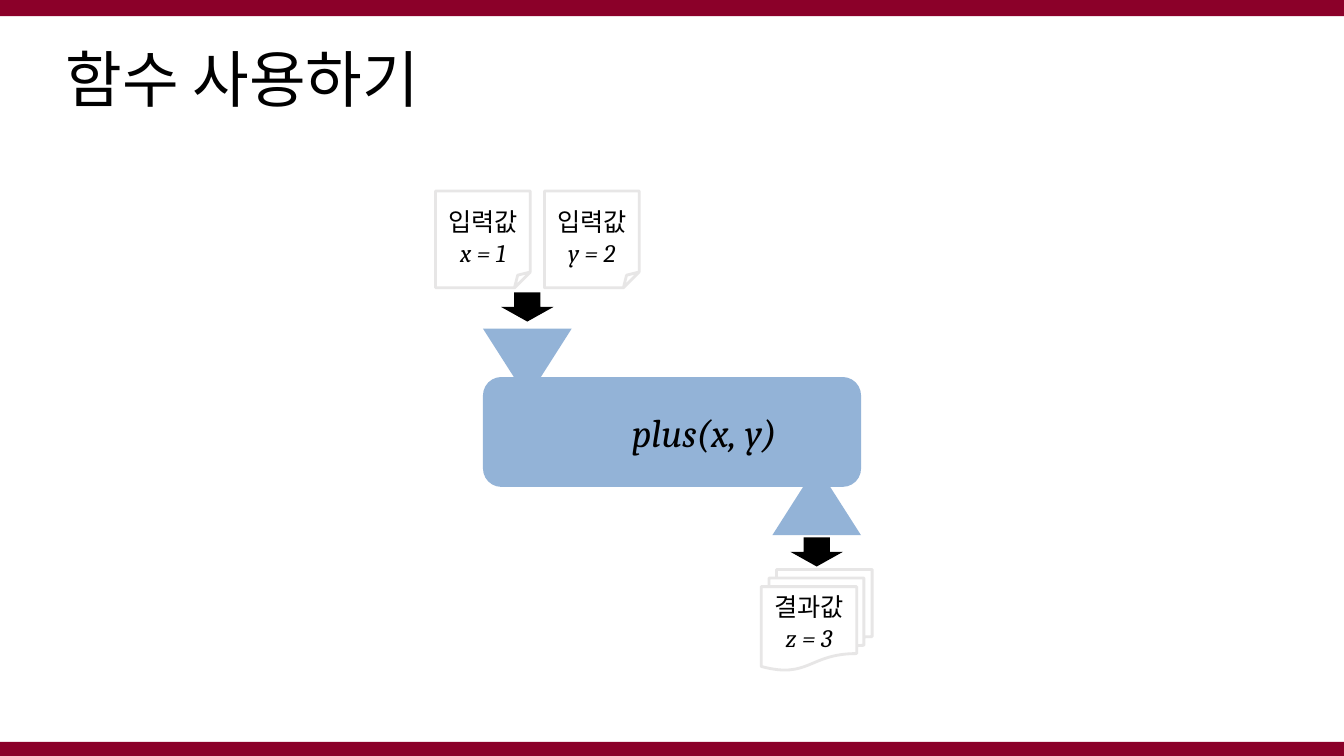
import dataclasses

import pptx
import pptx.dml.color
import pptx.enum.shapes
import pptx.enum.text
import pptx.util

SHAPE = pptx.enum.shapes.MSO_SHAPE
ALIGN = pptx.enum.text.PP_ALIGN
ANCHOR = pptx.enum.text.MSO_ANCHOR


@dataclasses.dataclass(frozen=True)
class Theme:
    """Colours, type formats and the grid of the slide."""
    band: str = "8B0029"
    machine: str = "93B3D7"
    outline: str = "E7E6E6"
    ink: str = "000000"
    line: float = 2
    cell: float = 0.04
    cols: float = 333.25
    rows: float = 187.5
    title: tuple = (("name", "Lato"), ("size", 44))
    label: tuple = (("name", "Arial"), ("size", 18))
    value: tuple = (("name", "Cambria"), ("size", 18), ("italic", True))
    formula: tuple = (("name", "Cambria"), ("size", 28), ("italic", True))


T = Theme()


def grid(*cells):
    """Turn grid cells into lengths."""
    return [pptx.util.Inches(c * T.cell) for c in cells]


def rgb(code):
    """Turn a hex code into a colour."""
    return pptx.dml.color.RGBColor.from_string(code)


def write(sp, lines, inset=0.05, anchor=ANCHOR.TOP, align=ALIGN.CENTER):
    """Write lines of (text, format) into a shape."""
    tf = sp.text_frame
    margin = pptx.util.Inches(inset)
    frame = {"word_wrap": True, "vertical_anchor": anchor,
             "margin_left": margin, "margin_right": margin,
             "margin_top": pptx.util.Inches(0.05),
             "margin_bottom": pptx.util.Inches(0.05)}
    for key, val in frame.items():
        setattr(tf, key, val)
    for i, (text, style) in enumerate(lines):
        p = tf.add_paragraph() if i else tf.paragraphs[0]
        p.alignment = align
        r = p.add_run()
        r.text = text
        for key, val in style:
            setattr(r.font, key, pptx.util.Pt(val) if key == "size" else val)
        r.font.color.rgb = rgb(T.ink)
    return tf


def add_solid(shapes, kind, box, color, adj=None, rotation=0):
    """Add a filled shape without an outline."""
    sp = shapes.add_shape(kind, *grid(*box))
    sp.shadow.inherit = False
    sp.fill.solid()
    sp.fill.fore_color.rgb = rgb(color)
    sp.line.fill.background()
    sp.rotation = rotation
    if adj is not None:
        sp.adjustments[0] = adj


def add_paper(shapes, kind, box, label, value, anchor):
    """Add an outlined sheet with a label and a value."""
    sp = shapes.add_shape(kind, *grid(*box))
    sp.shadow.inherit = False
    sp.fill.background()
    sp.line.color.rgb = rgb(T.outline)
    sp.line.width = pptx.util.Pt(T.line)
    write(sp, [(label, T.label), (value, T.value)], anchor=anchor)


def add_bands(s):
    """Add the bands along the top and bottom edges."""
    for top, height in ((0, 4), (T.rows - 3.5, 3.5)):
        add_solid(s.shapes, SHAPE.RECTANGLE, (0, top, T.cols, height), T.band)


def add_title(s, box, text):
    """Add the slide title."""
    sp = s.shapes.add_textbox(*grid(*box))
    tf = write(sp, [(text, T.title)], 0.1, ANCHOR.MIDDLE, ALIGN.LEFT)
    tf.paragraphs[0].line_spacing = 0.9


def add_inputs(s, box, values):
    """Add a row of input sheets with equal gaps."""
    x, y, w, h = box
    sheet = 23.5
    pitch = (w - sheet) / (len(values) - 1)
    for i, value in enumerate(values):
        add_paper(s.shapes, SHAPE.FOLDED_CORNER, (x + i * pitch, y, sheet, h),
                  "입력값", value, ANCHOR.BOTTOM)


def add_machine(s, box, formula):
    """Add the function body, its two funnels, the arrows and the formula."""
    x, y, w, h = box
    fw, fh, aw, ah = 22, 12, 13, 7.25
    body = (x, y + fh, w, h - 2 * fh)
    g = s.shapes.add_group_shape()
    add_solid(g.shapes, SHAPE.ROUNDED_RECTANGLE, body, T.machine, 0.167)
    ends = ((x, y, 180, y - 9), (x + w - fw, y + h - fh, 0, y + h + 0.5))
    for left, top, turn, arrow_top in ends:
        add_solid(g.shapes, SHAPE.TRAPEZOID, (left, top, fw, fh),
                  T.machine, 0.638, turn)
        arrow = (left + (fw - aw) / 2, arrow_top, aw, ah)
        add_solid(s.shapes, SHAPE.DOWN_ARROW, arrow, T.ink)
    sp = s.shapes.add_textbox(*grid(x + 29.25, body[1] + 6.5, 51.25, 14.25))
    write(sp, [(formula, T.formula)])


def add_result(s, box, value):
    """Add the stack of result sheets."""
    add_paper(s.shapes, SHAPE.FLOWCHART_MULTIDOCUMENT, box,
              "결과값", value, ANCHOR.TOP)


def main():
    """Build the slide and save it."""
    prs = pptx.Presentation()
    prs.slide_width, prs.slide_height = grid(T.cols, T.rows)
    s = prs.slides.add_slide(prs.slide_layouts[6])
    add_bands(s)
    add_title(s, (13.75, 10, 305.25, 21), "함수 사용하기")
    add_inputs(s, (108, 47.4, 50.5, 24), ["x = 1", "y = 2"])
    add_machine(s, (119.75, 81.5, 93.75, 51.25), "plus(x, y)")
    add_result(s, (188.75, 141.25, 27.5, 25), "z = 3")
    prs.save("out.pptx")


if __name__ == "__main__":
    main()
